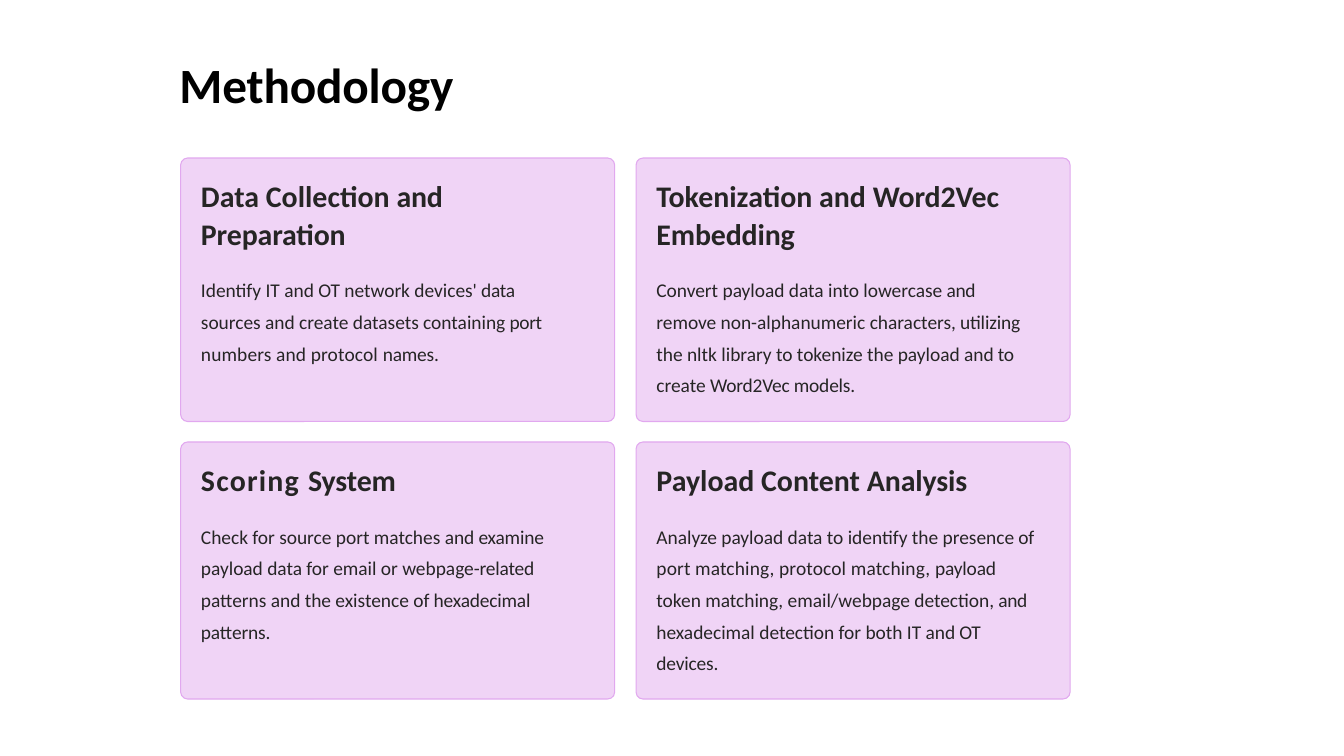
from pptx import Presentation
from pptx.dml.color import RGBColor
from pptx.enum.shapes import MSO_SHAPE as SHAPE
from pptx.enum.text import MSO_ANCHOR as ANCHOR, MSO_AUTO_SIZE as AUTO, PP_ALIGN as ALIGN
from pptx.util import Pt

COLORS = {"title": "000000", "text": "262525", "card": "F0D4F6", "edge": "E1A8EF"}
FONT = "Calibri"

# Each card: heading runs, body runs, text width; a run is (text, letter spacing)
CARDS = [
    ([("Data Collection ", 0), ("and ", -0.2), ("Preparation", -0.1)],
     [("Identify IT and OT network devices' ", 0), ("data ", -0.2),
      ("sources and create datasets containing ", 0), ("port ", -0.2),
      ("numbers and protocol ", 0.1), ("names.", -0.1)], 240),
    ([("Tokenization and ", 0), ("Word2Vec Embedding", -0.1)],
     [("Convert payload data into lowercase ", 0), ("and ", -0.2),
      ("remove non-alphanumeric characters, ", 0), ("utilizing ", -0.1),
      ("the nltk library to tokenize the payload and ", 0), ("to ", -0.2),
      ("create ", 0), ("Word2Vec models.", -0.1)], 255),
    ([("Scoring ", 0.8), ("System", -0.1)],
     [("Check for source port matches and ", 0), ("examine ", -0.1),
      ("payload data for email or webpage-", 0), ("related ", -0.1),
      ("patterns and the existence of ", 0), ("hexadecimal patterns.", -0.1)], 242),
    ([("Payload Content ", 0), ("Analysis", -0.1)],
     [("Analyze payload data to identify the presence ", 0), ("of ", -0.2),
      ("port matching, protocol matching, ", 0.1), ("payload ", -0.1),
      ("token matching, email/webpage detection, ", 0), ("and ", -0.2),
      ("hexadecimal detection for both IT and ", 0), ("OT ", -0.2),
      ("devices.", -0.1)], 259.5),
]


def rgb(name):
    return RGBColor.from_string(COLORS[name])


def set_frame(tf, top):
    tf.word_wrap = True
    tf.auto_size = AUTO.NONE
    tf.vertical_anchor = ANCHOR.TOP
    tf.margin_left = tf.margin_right = tf.margin_bottom = 0
    tf.margin_top = Pt(top)


def fill_paragraph(p, runs, size, color, bold=False):
    p.alignment = ALIGN.LEFT
    for text, spacing in runs:
        r = p.add_run()
        r.text = text
        if spacing:
            r._r.get_or_add_rPr().set("spc", str(round(spacing * 100)))
    p.font.name = FONT
    p.font.size = Pt(size)
    p.font.bold = bold
    p.font.color.rgb = rgb(color)


def add_title(slide, x, y, w, h):
    sp = slide.shapes.title
    sp.left, sp.top, sp.width, sp.height = Pt(x), Pt(y), Pt(w), Pt(h)
    set_frame(sp.text_frame, 3)
    fill_paragraph(sp.text_frame.paragraphs[0], [("Methodology", -0.1)], 33, "title", True)


def add_card(slide, x, y, w, h, heading, body, text_w):
    # Rounded panel
    sp = slide.shapes.add_shape(SHAPE.ROUNDED_RECTANGLE, Pt(x), Pt(y), Pt(w), Pt(h))
    sp.adjustments[0] = 4.6 / h
    sp.shadow.inherit = False
    sp.fill.solid()
    sp.fill.fore_color.rgb = rgb("card")
    sp.line.color.rgb = rgb("edge")
    sp.line.width = Pt(0.7)

    # Heading and body
    box = slide.shapes.add_textbox(Pt(x + 13.6), Pt(y + 10.8), Pt(text_w), Pt(h - 24))
    tf = box.text_frame
    set_frame(tf, 1.5)
    p = tf.paragraphs[0]
    p.line_spacing = Pt(25.1)
    fill_paragraph(p, heading, 20, "text", True)
    p = tf.add_paragraph()
    p.line_spacing = 1.36
    p.space_before = Pt(12.4)
    fill_paragraph(p, body, 13, "text")


def add_card_grid(slide, x, y, w, h):
    gap_x, gap_y = 14.4, 13.7
    card_w = (w - gap_x) / 2
    row_heights = (176.4, h - gap_y - 176.4)
    for i, (heading, body, text_w) in enumerate(CARDS):
        row, col = divmod(i, 2)
        add_card(slide, x + col * (card_w + gap_x), y + row * (row_heights[0] + gap_y),
                 card_w, row_heights[row], heading, body, text_w)


def main():
    prs = Presentation()
    prs.slide_width, prs.slide_height = Pt(900), Pt(506.16)
    slide = prs.slides.add_slide(prs.slide_layouts[5])
    add_title(slide, 120.2, 33.1, 661.7, 82.1)
    add_card_grid(slide, 121, 105.8, 595.6, 362.2)
    prs.save("out.pptx")


if __name__ == "__main__":
    main()
